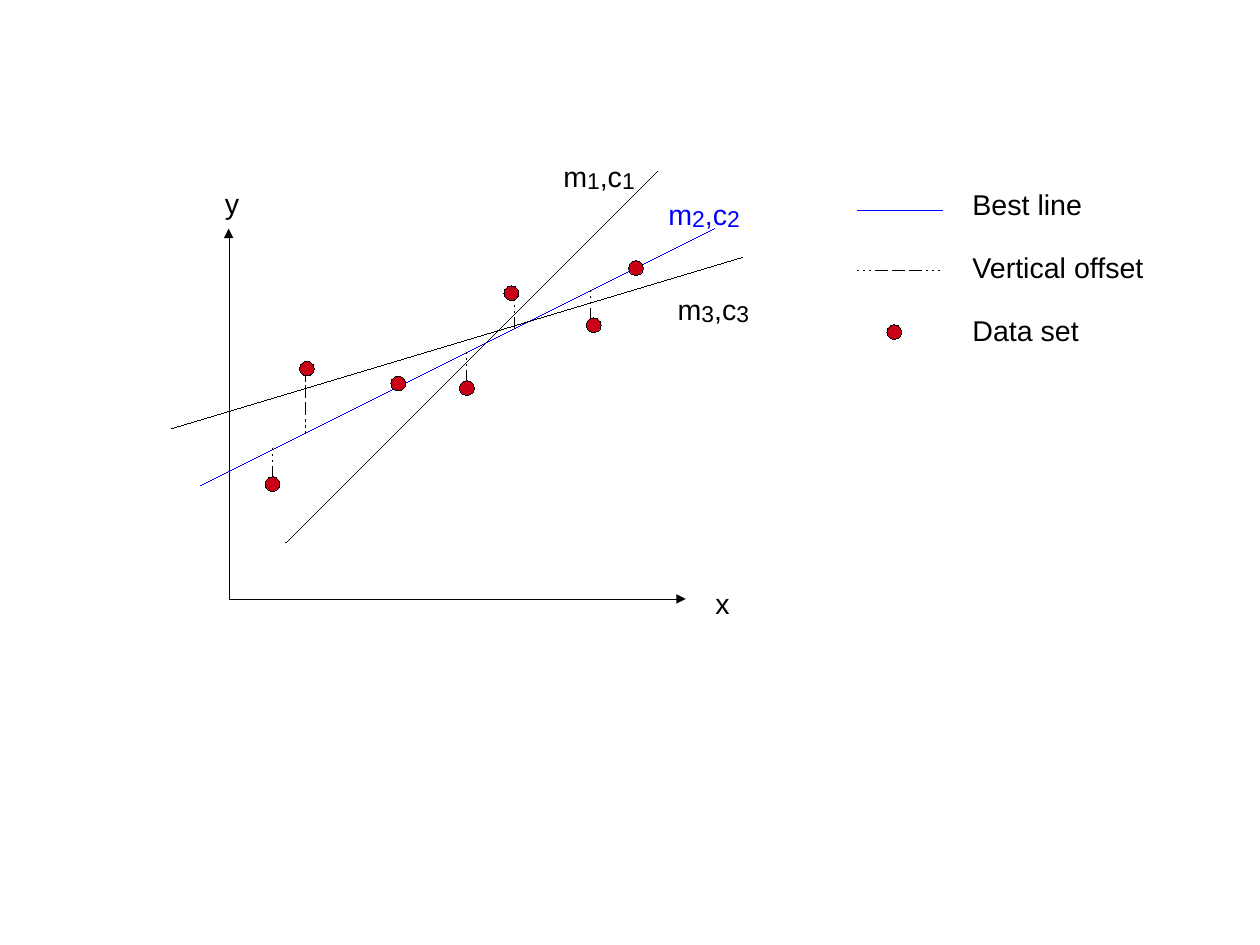
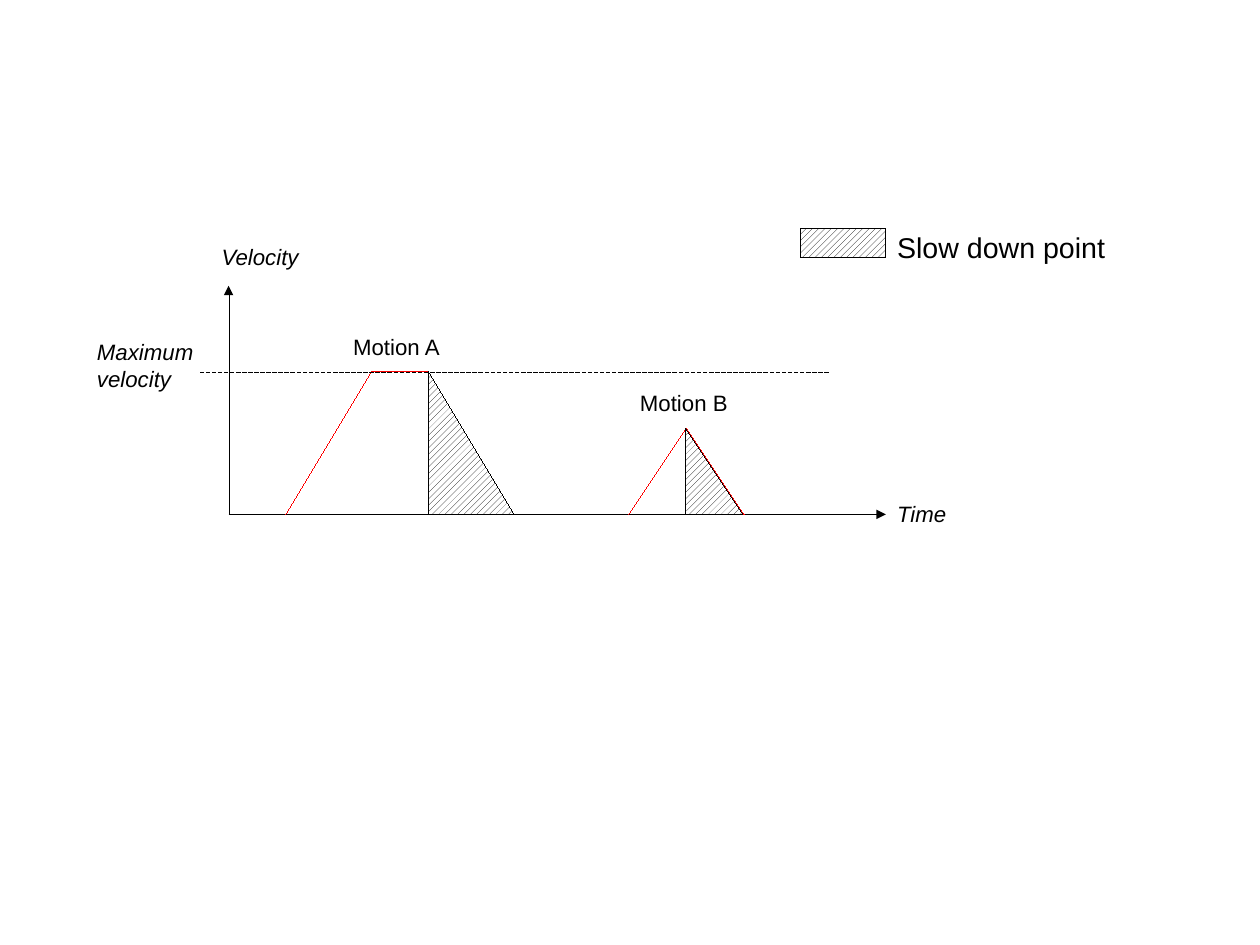
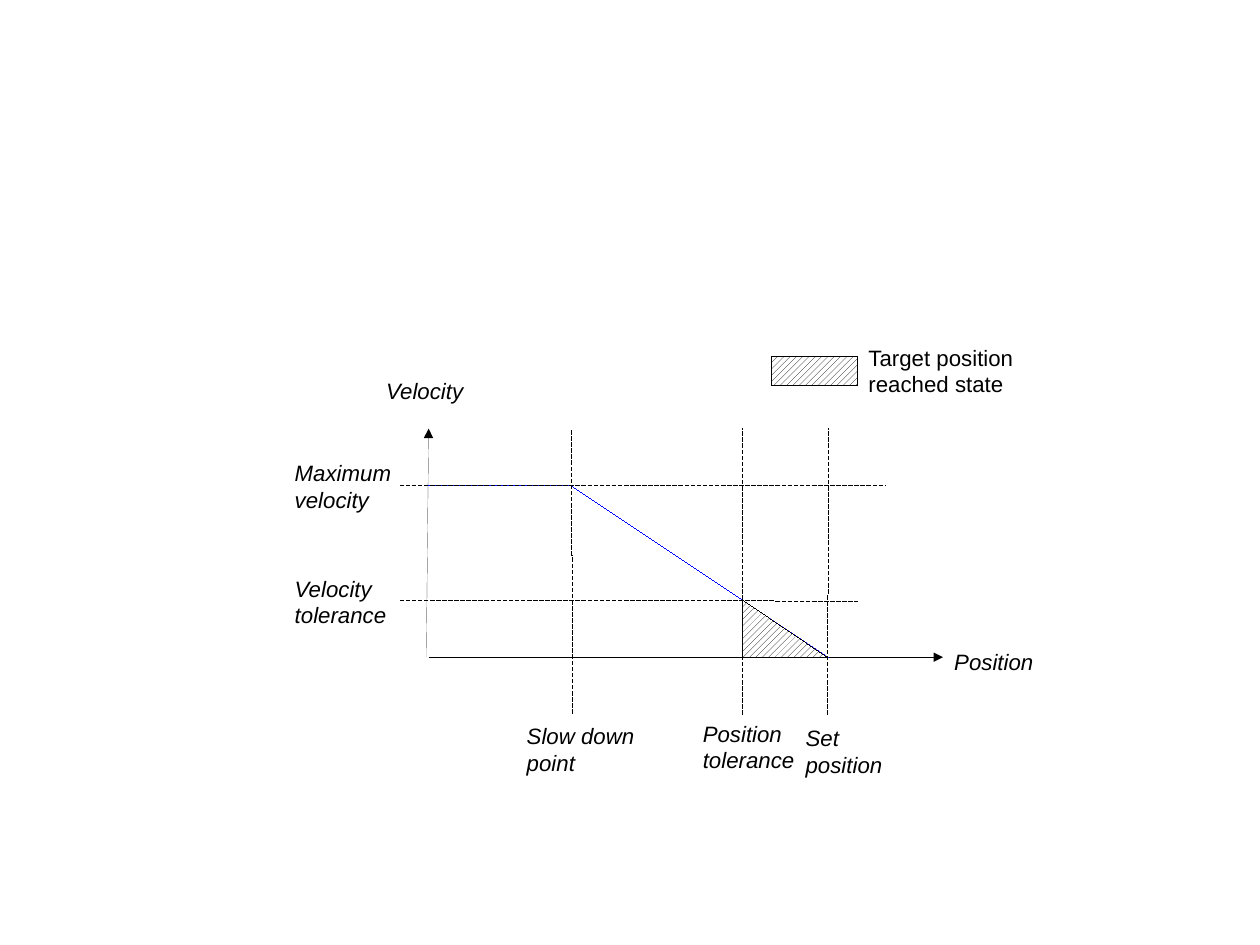
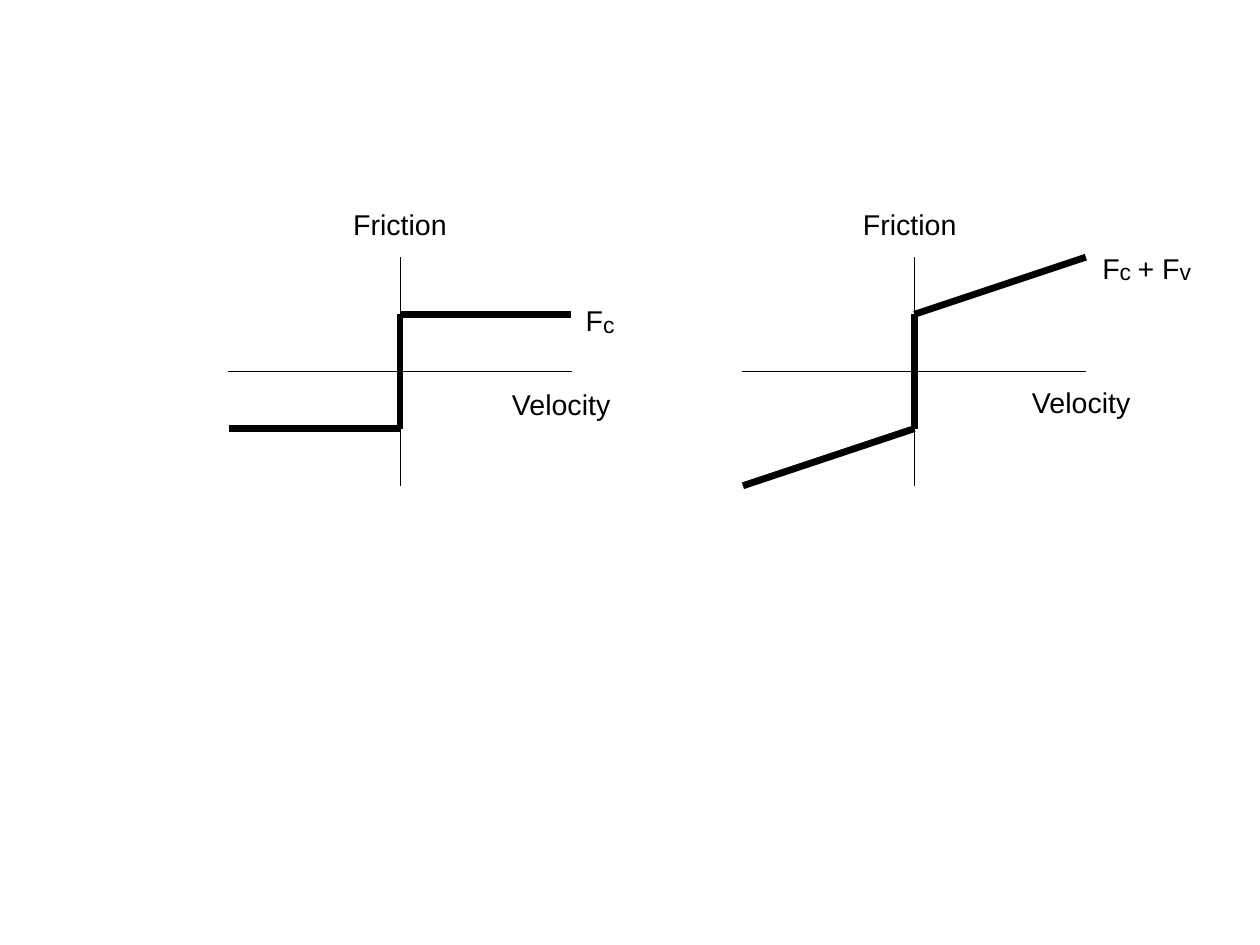
from pptx import Presentation
from pptx.dml.color import RGBColor
from pptx.enum.dml import MSO_PATTERN
from pptx.enum.shapes import MSO_CONNECTOR, MSO_SHAPE
from pptx.enum.text import MSO_AUTO_SIZE, PP_ALIGN
from pptx.oxml.ns import qn
from pptx.oxml.xmlchemy import OxmlElement
from pptx.util import Cm, Inches, Pt

SLIDE_WIDTH, SLIDE_HEIGHT = Cm(28), Cm(21)
BLACK, WHITE, RED, BLUE, DOT_RED = "000000", "FFFFFF", "FF0000", "0000FF", "C90016"
FONT = "Arial"
LARGE, SMALL = 18, 14
SUBSCRIPT = {"size": 24.8, "baseline": "-4000"}
THICK = 4.31
DOT_SIZE = 0.13
# Dash patterns: (length, gap) in percent of the line width
OFFSET_DASH = [(100, 400)] * 3 + [(1000, 400)] * 3
GUIDE_DASH = [(300, 200)]

# Labels: text, left, top, width, height; "_" lowers the next character
LINE_FIT = {
    "axes": [((2, 5.24), (6, 5.24)), ((2, 5.25), (2, 2))],
    "best": ((6.25, 2), (1.75, 4.25)),
    "others": [((1.5, 3.75), (6.5, 2.25)), ((2.5, 4.75), (5.75, 1.5))],
    "dots": [(2.32, 4.17), (3.42, 3.29), (4.41, 2.5), (5.13, 2.78),
             (4.02, 3.33), (2.62, 3.16), (5.5, 2.28)],
    "offsets": [(2.67, 3.79, 3.29), (2.38, 3.92, 4.17), (4.08, 3.08, 3.33),
                (4.5, 2.62, 2.87), (5.17, 2.54, 2.79)],
    "labels": [("m_1,c_1", 4.83, 1.25, 1, 0.42), ("m_3,c_3", 5.83, 2.41, 1, 0.42),
               ("x", 6.16, 5.08, 1.84, 0.38), ("y", 1.87, 1.58, 1.84, 0.38)],
    "best_label": ("m_2,c_2", 5.75, 1.58, 1, 0.42),
    "legend": [("Best line", 1.5), ("Vertical offset", 1.84), ("Data set", 1.84)],
}

MOTIONS = {
    "axes": [((2, 4.5), (2, 2.5)), ((2, 4.5), (7.75, 4.5))],
    "profiles": [[(2.5, 4.5), (3.25, 3.25), (3.75, 3.25), (4.5, 4.5)],
                 [(5.5, 4.5), (6, 3.75)], [(6.51, 4.5), (6.01, 3.75)]],
    "stops": [(3.75, 3.25, 0.75, 1.25), (6, 3.75, 0.5, 0.75)],
    "legend_box": (7, 2, 0.75, 0.25),
    "limit": ((1.75, 3.26), (7.25, 3.26)),
    "italic_labels": [("Time", 7.75, 4.33, 1.5, 0.32),
                      ("Velocity", 1.84, 2.08, 1.5, 0.32),
                      ("Maximum velocity", 0.75, 2.91, 1.5, 0.54)],
    "labels": [("Motion A", 2.99, 2.87, 1.25, 0.32),
               ("Motion B", 5.5, 3.36, 1.25, 0.32)],
    "legend": ("Slow down point", 7.75, 1.96, 2.25, 0.38),
}

POSITION = {
    "axes": [((3.75, 5.75), (8.25, 5.75)), ((3.73, 5.75), (3.75, 3.75))],
    "profile": [(3.75, 4.25), (5, 4.25), (7.25, 5.75)],
    "guides": [((6.5, 6.25), (6.5, 3.75)), ((3.5, 5.25), (7.5, 5.26)),
               ((7.24, 6.25), (7.25, 3.75)), ((3.5, 4.25), (7.75, 4.25)),
               ((5.01, 6.24), (5, 3.75))],
    "reached": (6.5, 5.25, 0.74, 0.5),
    "legend_box": (6.75, 3.12, 0.75, 0.25),
    "italic_labels": [("Position", 8.25, 5.62, 1, 0.32),
                      ("Set\nposition", 6.95, 6.29, 1.75, 0.54),
                      ("Position\ntolerance", 6.05, 6.25, 1.25, 0.54),
                      ("Velocity\ntolerance", 2.48, 4.98, 1.25, 0.54),
                      ("Slow down point", 4.51, 6.27, 1.25, 0.54),
                      ("Maximum\nvelocity", 2.48, 3.97, 1.25, 0.54),
                      ("Velocity", 3.28, 3.25, 1, 0.32)],
    "legend": ("Target position reached state", 7.5, 2.96, 2, 0.54),
}

# Each friction plot: centre, and how far the curve rises along its half axis
FRICTION = [
    {"centre": (3.5, 3.25), "rise": 0,
     "labels": [("Friction", 2.75, 1.75, 1.5, 0.4), ("Velocity", 4.16, 3.33, 1.5, 0.4),
                ("F_c", 4.5, 2.5, 1.5, 0.44)]},
    {"centre": (8, 3.25), "rise": 0.5,
     "labels": [("Friction", 7.21, 1.75, 1.5, 0.4), ("Velocity", 8.71, 3.31, 1.5, 0.4),
                ("F_c + F_v ", 9.31, 2.04, 1.5, 0.44)]},
]
HALF_AXIS, HALF_HEIGHT, STEP = 1.5, 1, 0.5


def color(hex_text):
    return RGBColor.from_string(hex_text)


def style_line(shape, hex_text, width=0):
    """Colour an outline and return its XML; zero width is a hairline."""
    shape.line.color.rgb = color(hex_text)
    line = shape._element.spPr.find(qn("a:ln"))
    line.set("w", str(int(Pt(width))))
    return line


def add_line(slide, start, end, hex_text=BLACK, width=0, dash=(), arrow=False):
    ends = [Inches(value) for value in (*start, *end)]
    connector = slide.shapes.add_connector(MSO_CONNECTOR.STRAIGHT, *ends)
    line = style_line(connector, hex_text, width)
    if dash:
        custom = OxmlElement("a:custDash")
        for length, gap in dash:
            stop = OxmlElement("a:ds")
            stop.set("d", str(length * 1000))
            stop.set("sp", str(gap * 1000))
            custom.append(stop)
        line.append(custom)
    if arrow:
        tail = OxmlElement("a:tailEnd")
        tail.set("type", "triangle")
        line.append(tail)
    connector._element.spPr.append(OxmlElement("a:effectLst"))


def add_path(slide, points, **line_format):
    for start, end in zip(points, points[1:]):
        add_line(slide, start, end, **line_format)


def add_axes(slide, axes):
    for start, end in axes:
        add_line(slide, start, end, arrow=True)


def add_preset(slide, preset, box):
    shape = slide.shapes.add_shape(preset, *[Inches(value) for value in box])
    shape.shadow.inherit = False
    style_line(shape, BLACK)
    return shape


def add_dot(slide, left, top):
    dot = add_preset(slide, MSO_SHAPE.OVAL, (left, top, DOT_SIZE, DOT_SIZE))
    dot.fill.solid()
    dot.fill.fore_color.rgb = color(DOT_RED)


def add_hatched(slide, preset, box):
    fill = add_preset(slide, preset, box).fill
    fill.patterned()
    fill.pattern = MSO_PATTERN.WIDE_UPWARD_DIAGONAL
    fill.fore_color.rgb = color(BLACK)
    fill.back_color.rgb = color(WHITE)


def split_runs(text):
    """Yield (text, is_subscript) pieces; a space after a subscript joins it."""
    first, *rest = text.split("_")
    yield first, False
    for piece in rest:
        end = 2 if piece[1:2] == " " else 1
        yield piece[:end], True
        if piece[end:]:
            yield piece[end:], False


def add_label(slide, label, size=LARGE, hex_text=BLACK, italic=None,
              align=None, margins=(0.1, 0.05)):
    text, *box = label
    frame = slide.shapes.add_textbox(*[Inches(value) for value in box]).text_frame
    across, down = (Inches(value) for value in margins)
    frame_format = {"word_wrap": True, "auto_size": MSO_AUTO_SIZE.SHAPE_TO_FIT_TEXT,
                    "margin_left": across, "margin_right": across,
                    "margin_top": down, "margin_bottom": down}
    for name, value in frame_format.items():
        setattr(frame, name, value)
    for index, line in enumerate(text.split("\n")):
        paragraph = frame.add_paragraph() if index else frame.paragraphs[0]
        paragraph.alignment = align
        for piece, lowered in split_runs(line):
            run = paragraph.add_run()
            run.text = piece
            run_size = SUBSCRIPT["size"] if lowered else size
            for name, value in {"name": FONT, "size": Pt(run_size), "italic": italic}.items():
                setattr(run.font, name, value)
            run.font.color.rgb = color(hex_text)
            if lowered:
                run._r.get_or_add_rPr().set("baseline", SUBSCRIPT["baseline"])


def build_line_fit(slide):
    add_axes(slide, LINE_FIT["axes"])
    add_line(slide, *LINE_FIT["best"], hex_text=BLUE)
    for left, top in LINE_FIT["dots"]:
        add_dot(slide, left, top)
    for x, start, end in LINE_FIT["offsets"]:
        add_line(slide, (x, start), (x, end), dash=OFFSET_DASH)
    for start, end in LINE_FIT["others"]:
        add_line(slide, start, end)
    for label in LINE_FIT["labels"]:
        add_label(slide, label)
    add_label(slide, LINE_FIT["best_label"], hex_text=BLUE)

    key_left, key_right = 7.5, 8.25
    add_line(slide, (key_left, 1.84), (key_right, 1.84), hex_text=BLUE)
    add_line(slide, (key_left, 2.37), (key_right, 2.37), dash=OFFSET_DASH)
    add_dot(slide, 7.76, 2.84)
    for row, (text, width) in enumerate(LINE_FIT["legend"]):
        add_label(slide, (text, 8.41, 1.59 + 0.55 * row, width, 0.38))


def build_motions(slide):
    add_axes(slide, MOTIONS["axes"])
    for points in MOTIONS["profiles"]:
        add_path(slide, points, hex_text=RED)
    for box in MOTIONS["stops"]:
        add_hatched(slide, MSO_SHAPE.RIGHT_TRIANGLE, box)
    add_hatched(slide, MSO_SHAPE.RECTANGLE, MOTIONS["legend_box"])
    add_line(slide, *MOTIONS["limit"], dash=GUIDE_DASH)
    for label in MOTIONS["italic_labels"]:
        add_label(slide, label, SMALL, italic=True)
    for label in MOTIONS["labels"]:
        add_label(slide, label, SMALL)
    add_label(slide, MOTIONS["legend"])


def build_position(slide):
    add_axes(slide, POSITION["axes"])
    add_path(slide, POSITION["profile"], hex_text=BLUE)
    for start, end in POSITION["guides"]:
        add_line(slide, start, end, dash=GUIDE_DASH)
    add_hatched(slide, MSO_SHAPE.RIGHT_TRIANGLE, POSITION["reached"])
    add_hatched(slide, MSO_SHAPE.RECTANGLE, POSITION["legend_box"])
    for label in POSITION["italic_labels"]:
        add_label(slide, label, SMALL, italic=True)
    add_label(slide, POSITION["legend"], SMALL)


def build_friction(slide):
    for plot in FRICTION:
        x, y = plot["centre"]
        reach = STEP + plot["rise"]
        add_line(slide, (x, y - HALF_HEIGHT), (x, y + HALF_HEIGHT))
        add_line(slide, (x - HALF_AXIS, y), (x + HALF_AXIS, y))
        curve = [(x - HALF_AXIS, y + reach), (x, y + STEP),
                 (x, y - STEP), (x + HALF_AXIS, y - reach)]
        add_path(slide, curve, width=THICK)
        for label in plot["labels"]:
            add_label(slide, label, align=PP_ALIGN.CENTER, margins=(0.11, 0.06))


def main():
    presentation = Presentation()
    presentation.slide_width = SLIDE_WIDTH
    presentation.slide_height = SLIDE_HEIGHT
    blank = presentation.slide_layouts[6]
    for build in (build_line_fit, build_motions, build_position, build_friction):
        build(presentation.slides.add_slide(blank))
    presentation.save("out.pptx")


if __name__ == "__main__":
    main()
